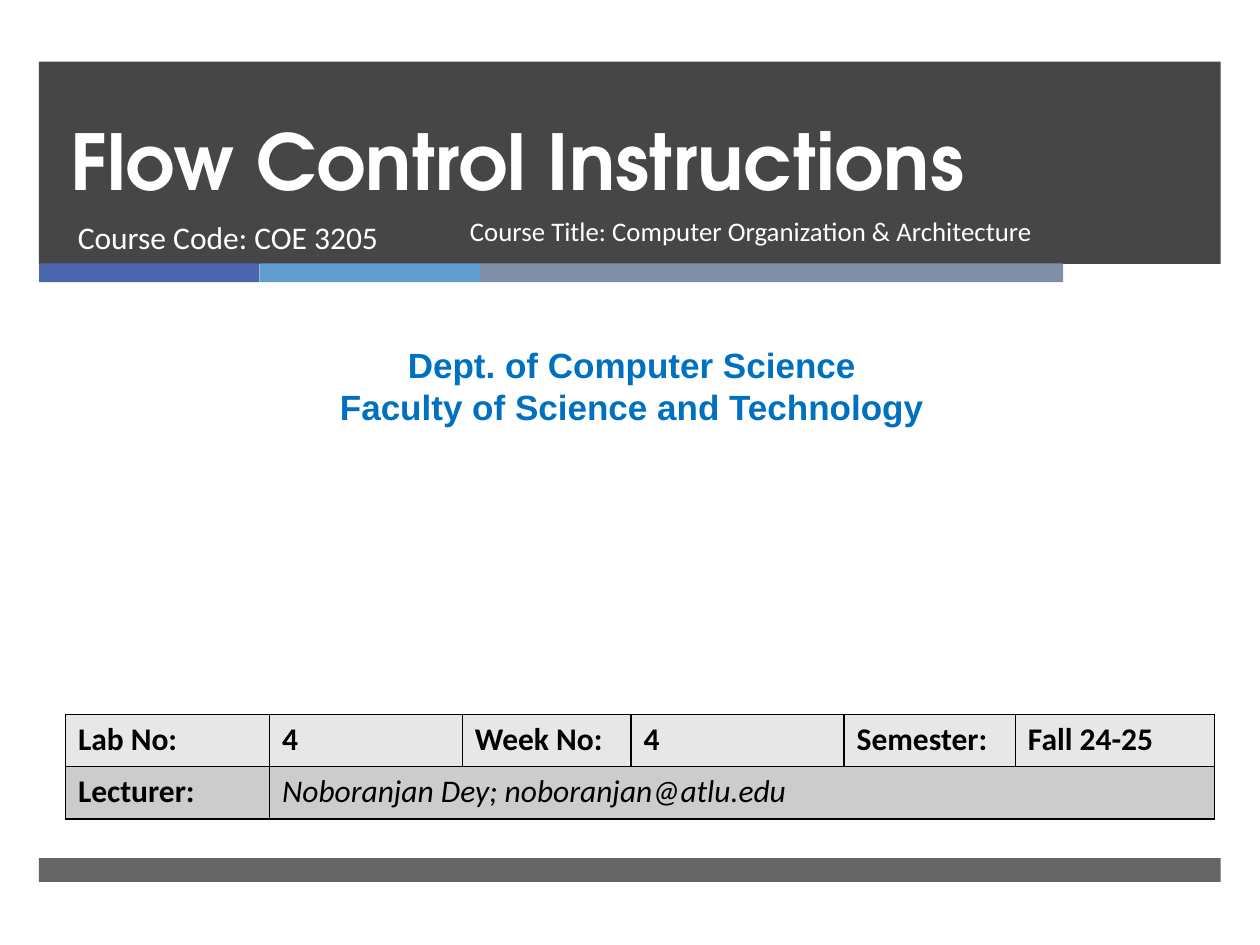
from lxml import etree
from pptx import Presentation
from pptx.dml.color import RGBColor
from pptx.enum import shapes, text
from pptx.oxml.ns import qn
from pptx.util import Pt


def color(hex_code):
    return RGBColor.from_string(hex_code)


class Deck:
    WHITE, BLACK, DARK, BLUE = "FFFFFF", "000000", "262626", "0070C0"
    BODY = "Calibri"

    def __init__(self, width, height):
        self.prs = Presentation()
        self.prs.slide_width, self.prs.slide_height = Pt(width), Pt(height)
        self.s = self.prs.slides.add_slide(self.prs.slide_layouts[6])

    def font(self, p, size, name, hex_code, bold=False, italic=False):
        f = p.font
        f.size, f.name, f.bold, f.italic = Pt(size), name, bold, italic
        f.color.rgb = color(hex_code)

    def bar(self, x, y, w, h, hex_code, opacity=100):
        sp = self.s.shapes.add_shape(
            shapes.MSO_SHAPE.RECTANGLE, Pt(x), Pt(y), Pt(w), Pt(h))
        sp.shadow.inherit = False
        sp.line.fill.background()
        sp.fill.solid()
        sp.fill.fore_color.rgb = color(hex_code)
        if opacity < 100:
            clr = sp._element.spPr.find(qn("a:solidFill")).find(qn("a:srgbClr"))
            etree.SubElement(clr, qn("a:alpha"), val=str(opacity * 1000))

    def label(self, x, y, w, h, lines, size, name=BODY, hex_code=WHITE, bold=False,
              align=text.PP_ALIGN.LEFT, anchor=text.MSO_ANCHOR.TOP, spacing=None):
        tf = self.s.shapes.add_textbox(Pt(x), Pt(y), Pt(w), Pt(h)).text_frame
        tf.word_wrap = True
        tf.vertical_anchor = anchor
        tf.text = "\n".join(lines)
        for p in tf.paragraphs:
            p.alignment, p.line_spacing = align, spacing
            self.font(p, size, name, hex_code, bold)

    def border(self, cell):
        tc_pr = cell._tc.get_or_add_tcPr()
        for i, side in enumerate(("a:lnL", "a:lnR", "a:lnT", "a:lnB")):
            ln = etree.Element(qn(side), w=str(Pt(1)))
            fill = etree.SubElement(ln, qn("a:solidFill"))
            etree.SubElement(fill, qn("a:srgbClr"), val=self.BLACK)
            tc_pr.insert(i, ln)

    def table(self, x, y, widths, row_height, rows, fills):
        t = self.s.shapes.add_table(
            len(rows), len(widths), Pt(x), Pt(y),
            Pt(sum(widths)), Pt(row_height * len(rows))).table
        for col, width in zip(t.columns, widths):
            col.width = Pt(width)
        for r, (row, fill) in enumerate(zip(rows, fills)):
            t.rows[r].height = Pt(row_height)
            for c in range(len(widths)):
                cell = t.cell(r, c)
                cell.fill.solid()
                cell.fill.fore_color.rgb = color(fill)
                self.border(cell)
                if c < len(row):
                    cell.text = row[c]
                    self.font(cell.text_frame.paragraphs[0], 18, self.BODY,
                              self.BLACK, bold=True)
        return t


def main():
    deck = Deck(720, 540)
    left, width = 22.3, 675.2

    deck.bar(left, 35.2, width, 115.6, deck.DARK, 85)
    x = left
    for w, fill in ((126, "4A66AC"), (126 * 5 / 3 - 84, "629DD1"), (333.2, "7F8FA9")):
        deck.bar(x, 150.5, w, 10.8, fill)
        x += w
    deck.bar(left, 490.3, width, 13.7, deck.DARK, 70)

    deck.label(33.1, 35.3, 614.9, 85.7, ["Flow Control Instructions"], 44,
               "TeX Gyre Adventor", bold=True, anchor=text.MSO_ANCHOR.BOTTOM,
               spacing=Pt(46))
    deck.label(37.4, 121, 219.6, 38.2, ["Course Code: COE 3205"], 18)
    deck.label(5.8, 193, 710.6, 55.4,
               ["Dept. of Computer Science", "Faculty of Science and Technology"],
               20, "Arial", deck.BLUE, bold=True, align=text.PP_ALIGN.CENTER)

    t = deck.table(
        37.4, 408.2, (116.6, 110.2, 96.5, 121.7, 97.9, 113.8), 29.9,
        (("Lab No:", "4", "Week No:", "4", "Semester:", "Fall 24-25"),
         ("Lecturer:", "Noboranjan Dey; noboranjan@atlu.edu")),
        ("E7E7E7", "CCCCCC"))
    lecturer = t.cell(1, 1)
    lecturer.merge(t.cell(1, 5))
    deck.font(lecturer.text_frame.paragraphs[0], 18, deck.BODY, deck.BLACK, italic=True)

    deck.label(261.4, 121, 337.7, 38.2,
               ["Course Title: Computer Organization & Architecture"], 15.3, spacing=0.9)
    deck.prs.save("out.pptx")


if __name__ == "__main__":
    main()
